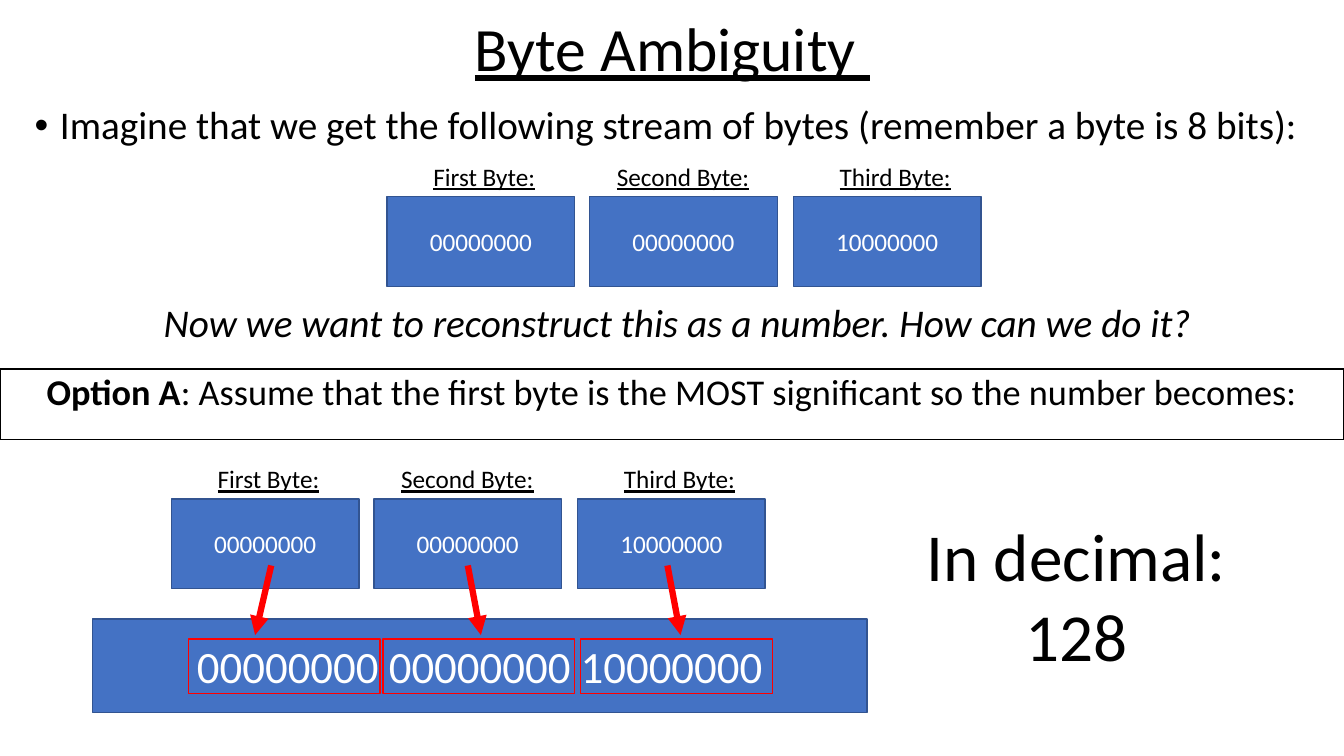
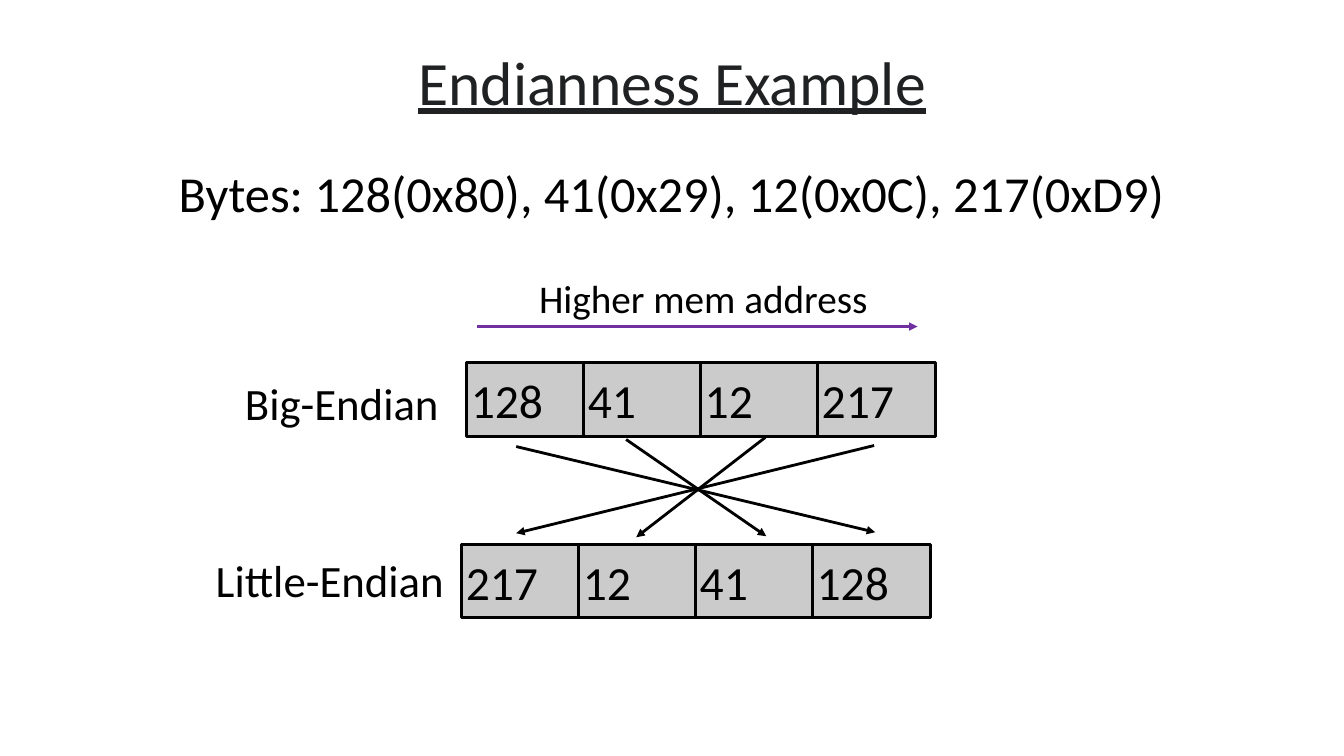
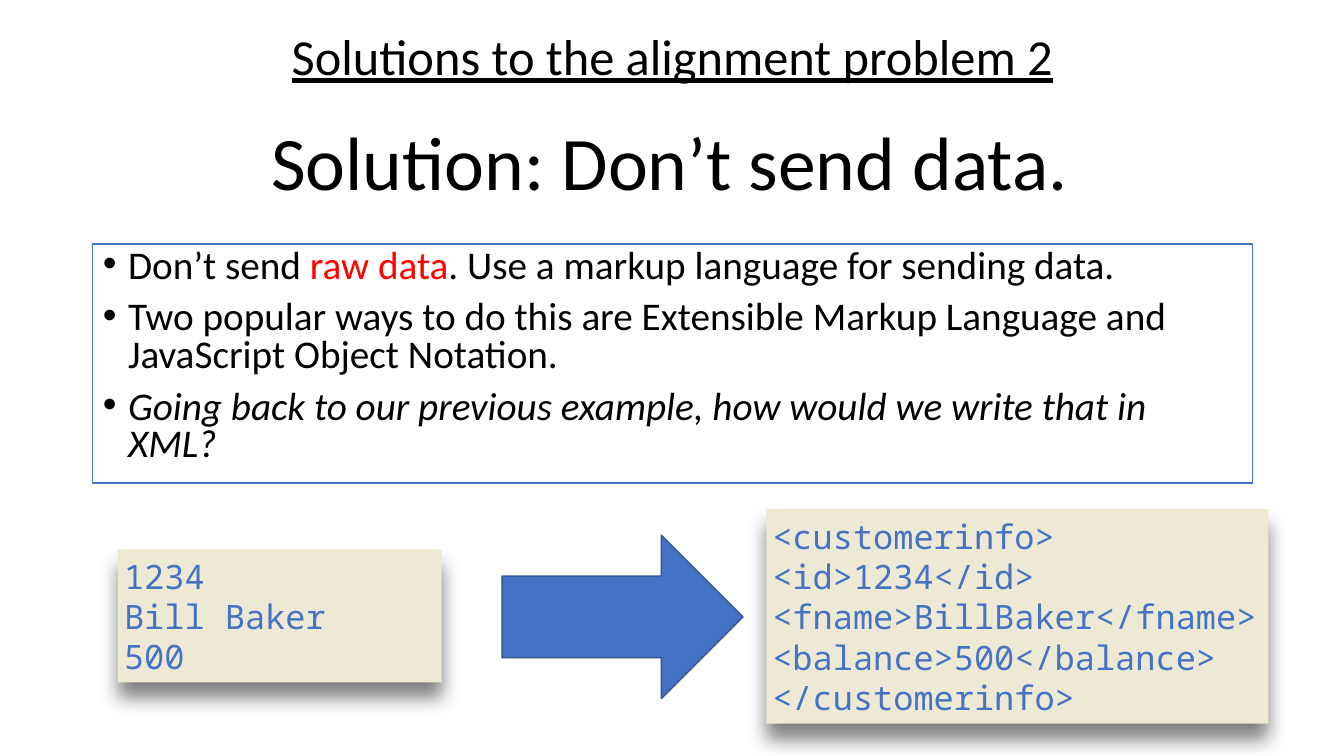
from collections.abc import Sequence
from dataclasses import dataclass
from typing import NamedTuple

from lxml import etree
from pptx import Presentation
from pptx import util as u
from pptx.dml.color import RGBColor
from pptx.enum import shapes, text
from pptx.oxml import ns

PX = 9144  # EMU per px, 100 px to the inch
WIDTH, HEIGHT = 1333, 750

BLACK, WHITE, RED = "000000", "FFFFFF", "FF0000"
BLUE, DARK_BLUE, PURPLE = "4472C4", "325491", "7030A0"
INK, GREY, CREAM = "202122", "CBCBCB", "EEE9D4"

LEFT, CENTER = text.PP_ALIGN.LEFT, text.PP_ALIGN.CENTER
TOP, MIDDLE = text.MSO_ANCHOR.TOP, text.MSO_ANCHOR.MIDDLE
RECTANGLE = shapes.MSO_SHAPE.RECTANGLE
TITLE_AND_BODY, TITLE_ONLY = 1, 5


class Area(NamedTuple):
    left: int
    top: int
    width: int
    height: int


class Span(NamedTuple):
    words: str
    color: str | None = None
    bold: bool | None = None


class Para(NamedTuple):
    spans: tuple[Span, ...]
    italic: bool = False


class Border(NamedTuple):
    color: str
    points: float = 1


class Arrow(NamedTuple):
    x1: int
    y1: int
    x2: int
    y2: int


class ByteBox(NamedTuple):
    label: str
    bits: str
    label_offset: int
    label_width: int
    label_align: text.PP_ALIGN


@dataclass(frozen=True)
class Style:
    size: float
    color: str = BLACK
    font: str = "Calibri"
    align: text.PP_ALIGN = CENTER
    anchor: text.MSO_ANCHOR = TOP
    underline: bool = False
    line_spacing: float = 1.0
    space_before: int = 0
    bullet: bool = False
    inset: tuple[int, int] = (10, 5)
    wrap: bool = True


BYTE = Style(18, WHITE, anchor=MIDDLE)
JOINED_BYTES = Style(32, WHITE, anchor=MIDDLE)
CELL = Style(34, align=LEFT, anchor=MIDDLE, inset=(4, 4))
ENDIAN_NAME = Style(32, align=LEFT, anchor=MIDDLE, inset=(6, 6), wrap=False)
CODE = Style(24, BLUE, "Noto Sans Mono", LEFT, MIDDLE, inset=(6, 6))

BYTES = (
    ByteBox("First Byte:", "00000000", 36, 126, LEFT),
    ByteBox("Second Byte:", "00000000", 218, 154, LEFT),
    ByteBox("Third Byte:", "10000000", 427, 154, CENTER),
)


def rgb(color: str) -> RGBColor:
    return RGBColor.from_string(color)


def emu(area: Sequence[int]) -> list[int]:
    return [u.Emu(length * PX) for length in area]


def lines(*words: str) -> tuple[Para, ...]:
    """One plain paragraph for each string."""
    return tuple(Para((Span(line),)) for line in words)


def write(shape, paras: Sequence[Para], style: Style) -> None:
    frame = shape.text_frame
    frame.auto_size = text.MSO_AUTO_SIZE.NONE
    frame.word_wrap = style.wrap
    frame.vertical_anchor = style.anchor
    across, down = emu(style.inset)
    frame.margin_left = frame.margin_right = across
    frame.margin_top = frame.margin_bottom = down
    for index, para in enumerate(paras):
        paragraph = frame.add_paragraph() if index else frame.paragraphs[0]
        paragraph.alignment = style.align
        paragraph.line_spacing = style.line_spacing
        paragraph.space_before = u.Pt(style.space_before if index else 0)
        if style.bullet:
            properties = paragraph._p.get_or_add_pPr()
            properties.set("marL", str(25 * PX))
            properties.set("indent", str(-25 * PX))
        font = paragraph.font
        font.name, font.size = style.font, u.Pt(style.size)
        font.color.rgb = rgb(style.color)
        font.underline, font.italic = style.underline, para.italic
        for span in para.spans:
            run = paragraph.add_run()
            run.text = span.words
            if span.bold is not None:
                run.font.bold = span.bold
            if span.color:
                run.font.color.rgb = rgb(span.color)


def paint(shape, fill: str | None, border: Border | None) -> None:
    if fill:
        shape.fill.solid()
        shape.fill.fore_color.rgb = rgb(fill)
    else:
        shape.fill.background()
    if border:
        shape.line.color.rgb = rgb(border.color)
        shape.line.width = u.Pt(border.points)
    else:
        shape.line.fill.background()


def add_shape(page, area: Area, fill: str | None, border: Border | None,
              kind: shapes.MSO_SHAPE = RECTANGLE):
    shape = page.shapes.add_shape(kind, *emu(area))
    shape.shadow.inherit = False
    paint(shape, fill, border)
    return shape


def add_text(page, area: Area, paras: Sequence[Para], style: Style) -> None:
    write(page.shapes.add_textbox(*emu(area)), paras, style)


def add_arrow(page, arrow: Arrow, border: Border) -> None:
    connector = page.shapes.add_connector(shapes.MSO_CONNECTOR.STRAIGHT, *emu(arrow))
    connector.line.color.rgb = rgb(border.color)
    connector.line.width = u.Pt(border.points)
    properties = connector._element.spPr
    etree.SubElement(properties.find(ns.qn("a:ln")), ns.qn("a:tailEnd"), type="triangle")
    etree.SubElement(properties, ns.qn("a:effectLst"))


def add_page(deck, layout: int, title: str, area: Area, size: int = 44, color: str = BLACK):
    page = deck.slides.add_slide(deck.slide_layouts[layout])
    place(page.shapes.title, area)
    style = Style(size, color, anchor=MIDDLE, underline=True, line_spacing=0.9)
    write(page.shapes.title, lines(title), style)
    return page


def place(shape, area: Area) -> None:
    shape.left, shape.top, shape.width, shape.height = emu(area)


def add_byte_row(page, left: int, top: int) -> None:
    """Three labelled byte boxes at an equal pitch."""
    for index, byte in enumerate(BYTES):
        area = Area(left + index * 403 // 2, top, 186, 89)
        write(add_shape(page, area, BLUE, Border(DARK_BLUE)), lines(byte.bits), BYTE)
        label_area = Area(left + byte.label_offset, top - 40, byte.label_width, 40)
        add_text(page, label_area, lines(byte.label),
                 Style(18, align=byte.label_align, underline=True))


def add_cell_row(page, left: int, top: int, values: Sequence[int]) -> None:
    for index, value in enumerate(values):
        cell = add_shape(page, Area(left + index * 116, top, 117, 73), GREY, Border(BLACK, 2))
        write(cell, lines(str(value)), CELL)


def add_code(page, area: Area, *code: str) -> None:
    """A cream card with a soft shadow below it."""
    card = add_shape(page, area, CREAM, None)
    effects = card._element.spPr.find(ns.qn("a:effectLst"))
    shadow = etree.SubElement(effects, ns.qn("a:outerShdw"), blurRad=str(u.Pt(14)),
                              dist=str(u.Pt(11)), dir="5400000", rotWithShape="0")
    color = etree.SubElement(shadow, ns.qn("a:srgbClr"), val=BLACK)
    etree.SubElement(color, ns.qn("a:alpha"), val="50000")
    write(card, lines(*code), CODE)


def build_ambiguity(deck) -> None:
    page = add_page(deck, TITLE_AND_BODY, "Byte Ambiguity ", Area(92, 3, 1150, 97))
    body = page.placeholders[1]
    place(body, Area(0, 100, 1329, 70))
    stream = "Imagine that we get the following stream of bytes (remember a byte is 8 bits): "
    write(body, lines(stream), Style(28, line_spacing=0.9, bullet=True))
    add_byte_row(page, 384, 195)

    question = Span("Now we want to reconstruct this as a number. How can we do it?")
    add_text(page, Area(7, 296, 1329, 70), [Para((question,), italic=True)],
             Style(28, line_spacing=0.9))
    option = add_shape(page, Area(0, 366, WIDTH, 70), WHITE, Border(BLACK))
    assumption = ": Assume that the first byte is the MOST significant so the number becomes:"
    write(option, [Para((Span("Option A", bold=True), Span(assumption)))],
          Style(25.9, line_spacing=0.9))

    joined = add_shape(page, Area(92, 614, 768, 93), BLUE, Border(DARK_BLUE))
    write(joined, lines(" ".join(byte.bits for byte in BYTES)), JOINED_BYTES)
    add_byte_row(page, 170, 495)
    for left in (187, 380, 576):
        add_shape(page, Area(left, 634, 190, 54), None, Border(RED))
    for start, end in ((269, 253), (464, 477), (662, 675)):
        add_arrow(page, Arrow(start, 561, end, 630), Border(RED, 4.5))
    add_text(page, Area(897, 505, 341, 172), lines("In decimal: 128"), Style(48))


def build_endianness(deck) -> None:
    page = add_page(deck, TITLE_ONLY, "Endianness Example", Area(92, 12, 1150, 145), color=INK)
    add_text(page, Area(65, 155, 1203, 72),
             lines("Bytes: 128(0x80), 41(0x29), 12(0x0C), 217(0xD9)"),
             Style(36, anchor=MIDDLE, inset=(6, 6)))
    values = (128, 41, 12, 217)
    add_cell_row(page, 463, 360, values)
    add_cell_row(page, 458, 540, values[::-1])
    add_text(page, Area(237, 367, 206, 65), lines("Big-Endian"), ENDIAN_NAME)
    add_text(page, Area(208, 542, 241, 65), lines("Little-Endian"), ENDIAN_NAME)

    for swap in (Arrow(512, 443, 868, 528), Arrow(621, 436, 760, 532),
                 Arrow(759, 434, 631, 533), Arrow(867, 442, 512, 529)):
        add_arrow(page, swap, Border(BLACK, 2))
    add_arrow(page, Arrow(473, 324, 910, 324), Border(PURPLE, 2))
    add_text(page, Area(520, 266, 355, 58), lines("Higher mem address"),
             Style(28, anchor=MIDDLE, inset=(6, 6)))


def build_solutions(deck) -> None:
    page = add_page(deck, TITLE_AND_BODY, "Solutions to the alignment problem 2",
                    Area(92, 8, 1150, 101), size=36)
    body = page.placeholders[1]
    place(body, Area(92, 242, 1150, 237))
    paint(body, WHITE, Border(BLUE))
    advice = (
        Para((Span("Don’t send "), Span("raw data", RED),
              Span(". Use a markup language for sending data."))),
        Para((Span("Two popular ways to do this are Extensible Markup Language and "
                   "JavaScript Object Notation."),)),
        Para((Span("Going back to our previous example, how would we write that in XML?"),),
             italic=True),
    )
    write(body, advice, Style(28, align=LEFT, line_spacing=0.8, space_before=10, bullet=True))
    add_text(page, Area(205, 109, 918, 101), lines("Solution: Don’t send data."), Style(54))

    add_code(page, Area(117, 545, 321, 132), "1234", "Bill Baker", "500")
    add_shape(page, Area(498, 531, 239, 162), BLUE, Border(DARK_BLUE),
              shapes.MSO_SHAPE.RIGHT_ARROW)
    add_code(page, Area(760, 505, 498, 213), "<customerinfo>", "<id>1234</id>",
             "<fname>BillBaker</fname>", "<balance>500</balance>", "</customerinfo>")


def main() -> None:
    deck = Presentation()
    deck.slide_width, deck.slide_height = emu((WIDTH, HEIGHT))
    build_ambiguity(deck)
    build_endianness(deck)
    build_solutions(deck)
    deck.save("out.pptx")


if __name__ == "__main__":
    main()
